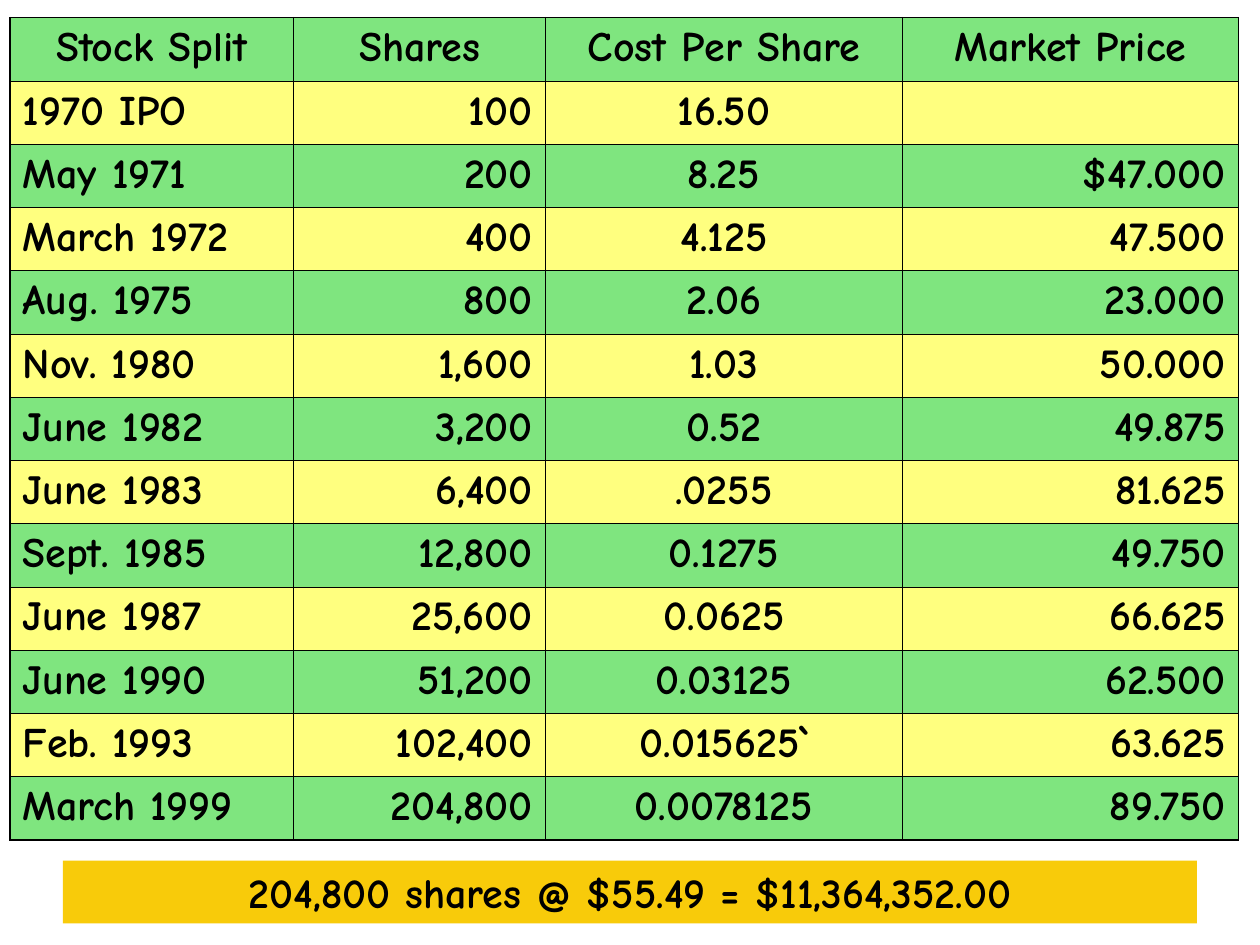
"""Build a slide with a stock split history table and a closing total."""
from lxml import etree
from pptx import Presentation
from pptx.dml.color import RGBColor
from pptx.enum.shapes import MSO_SHAPE
from pptx.enum.text import MSO_ANCHOR, PP_ALIGN
from pptx.oxml.ns import qn
from pptx.util import Inches, Pt

LEFT, CENTER, RIGHT = PP_ALIGN.LEFT, PP_ALIGN.CENTER, PP_ALIGN.RIGHT
MIDDLE = MSO_ANCHOR.MIDDLE
RECTANGLE = MSO_SHAPE.RECTANGLE
FONT = "Comic Neue"
BLACK, GREEN, YELLOW, GOLD = "000000", "00CC00", "FFFF00", "F8CB0A"
THIN, THICK = Pt(0.45), Pt(1.08)

ROWS = [
    ("Stock Split", "Shares", "Cost Per Share", "Market Price"),
    ("1970 IPO", "100", "16.50", ""),
    ("May 1971", "200", "8.25", "$47.000"),
    ("March 1972", "400", "4.125", "47.500"),
    ("Aug. 1975", "800", "2.06", "23.000"),
    ("Nov. 1980", "1,600", "1.03", "50.000"),
    ("June 1982", "3,200", "0.52", "49.875"),
    ("June 1983", "6,400", ".0255", "81.625"),
    ("Sept. 1985", "12,800", "0.1275", "49.750"),
    ("June 1987", "25,600", "0.0625", "66.625"),
    ("June 1990", "51,200", "0.03125", "62.500"),
    ("Feb. 1993", "102,400", "0.015625`", "63.625"),
    ("March 1999", "204,800", "0.0078125", "89.750"),
]
WIDTHS = [2.25, 2, 2.83, 2.67]
ALIGNS = [LEFT, RIGHT, CENTER, RIGHT]
LAST_ROW, LAST_COL = len(ROWS) - 1, len(WIDTHS) - 1


def rgb(color):
    return RGBColor.from_string(color)


def write(tf, text, align):
    p = tf.paragraphs[0]
    p.text = text
    p.alignment = align
    for r in p.runs:
        r.font.name = FONT
        r.font.size = Pt(24)
        r.font.bold = True
        r.font.color.rgb = rgb(BLACK)


prs = Presentation()
prs.slide_width, prs.slide_height = Inches(10), Inches(7.5)
s = prs.slides.add_slide(prs.slide_layouts[6])

table = s.shapes.add_table(len(ROWS), len(WIDTHS), Inches(0.08), Inches(0.14),
                           Inches(sum(WIDTHS)), Inches(6.53)).table
for column, width in zip(table.columns, WIDTHS):
    column.width = Inches(width)

for i, row in enumerate(ROWS):
    for j, text in enumerate(row):
        cell = table.cell(i, j)
        write(cell.text_frame, text, ALIGNS[j] if i else CENTER)
        cell.fill.solid()
        cell.fill.fore_color.rgb = rgb(YELLOW if i % 2 else GREEN)
        tcPr = cell._tc.get_or_add_tcPr()
        color = tcPr.find(qn("a:solidFill")).find(qn("a:srgbClr"))
        etree.SubElement(color, qn("a:alpha"), val="50000")

        outer_edges = {"a:lnL": j == 0, "a:lnR": j == LAST_COL,
                       "a:lnT": i == 0, "a:lnB": i == LAST_ROW}
        for k, (tag, outer) in enumerate(outer_edges.items()):
            ln = etree.Element(qn(tag), w=str(THICK if outer else THIN))
            fill = etree.SubElement(ln, qn("a:solidFill"))
            etree.SubElement(fill, qn("a:srgbClr"), val=BLACK)
            tcPr.insert(k, ln)

sp = s.shapes.add_shape(RECTANGLE, Inches(0.5), Inches(6.83), Inches(9), Inches(0.5))
sp.shadow.inherit = False
sp.fill.solid()
sp.fill.fore_color.rgb = rgb(GOLD)
sp.line.fill.background()
tf = sp.text_frame
tf.word_wrap = False
tf.vertical_anchor = MIDDLE
write(tf, "204,800 shares @ $55.49 = $11,364,352.00", CENTER)

prs.save("out.pptx")
